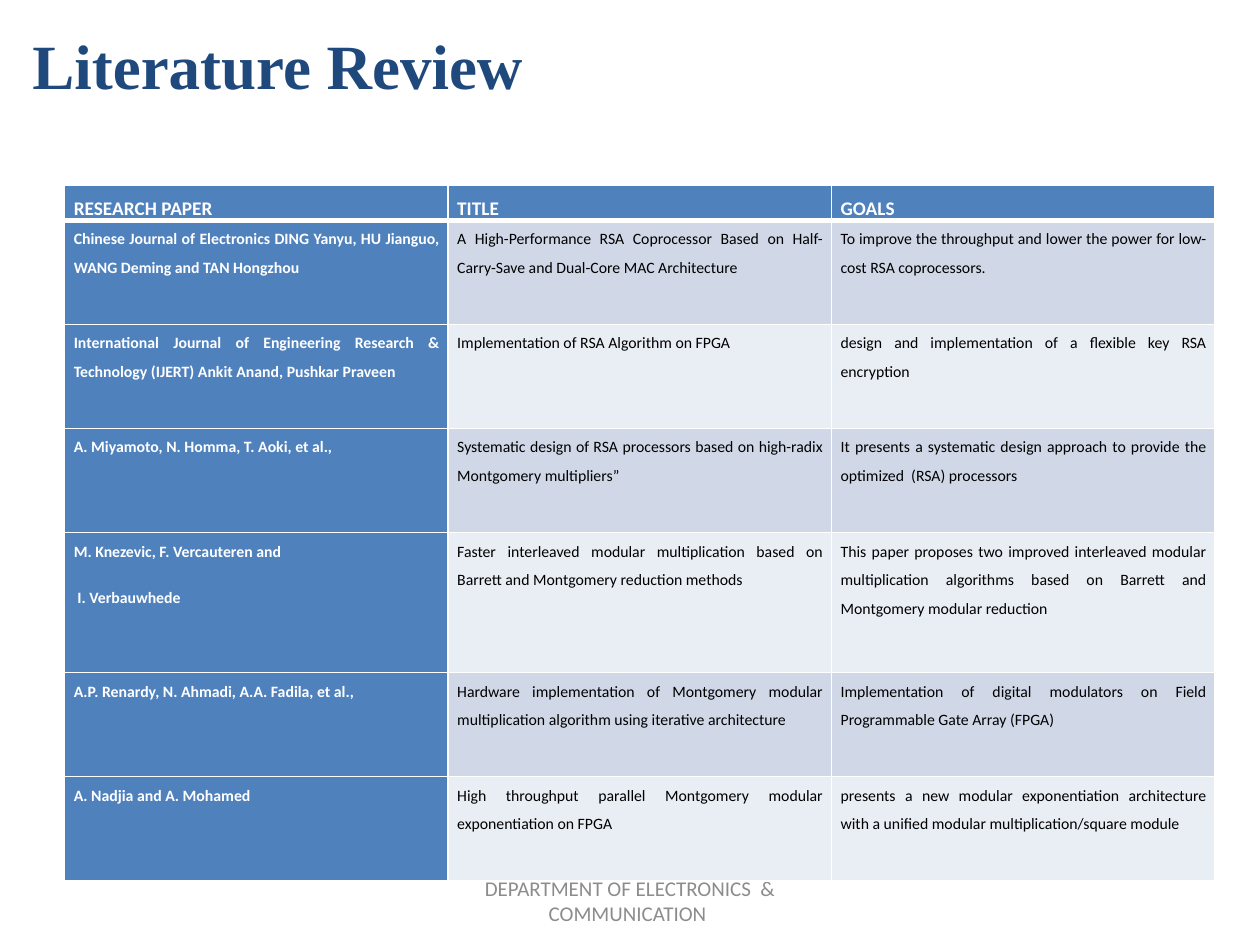
from lxml import etree
from pptx import Presentation
from pptx import util as u
from pptx.dml import color
from pptx.enum import text
from pptx.oxml import ns

BLUE, WHITE, BLACK = "4F81BD", "FFFFFF", "000000"
BANDS = ["D0D8E8", "E9EDF4"]
HEADS = ["RESEARCH PAPER", "TITLE", "GOALS"]
PAPERS = [
    ["Chinese Journal of Electronics DING Yanyu, HU Jianguo, WANG Deming and TAN Hongzhou",
     "A High-Performance RSA Coprocessor Based on Half-Carry-Save and Dual-Core MAC Architecture",
     "To improve the throughput and lower the power for low-cost RSA coprocessors."],
    ["International Journal of Engineering Research & Technology (IJERT) Ankit Anand, Pushkar Praveen",
     "Implementation of RSA Algorithm on FPGA",
     "design and implementation of a flexible key RSA encryption"],
    ["A. Miyamoto, N. Homma, T. Aoki, et al.,",
     "Systematic design of RSA processors based on high-radix Montgomery multipliers”",
     "It presents a systematic design approach to provide the optimized  (RSA) processors"],
    ["M. Knezevic, F. Vercauteren and\n I. Verbauwhede",
     "Faster interleaved modular multiplication based on Barrett and Montgomery reduction methods",
     "This paper proposes two improved interleaved modular multiplication algorithms based on "
     "Barrett and Montgomery modular reduction"],
    ["A.P. Renardy, N. Ahmadi, A.A. Fadila, et al.,",
     "Hardware implementation of Montgomery modular multiplication algorithm using iterative architecture",
     "Implementation of digital modulators on Field Programmable Gate Array (FPGA)"],
    ["A. Nadjia and A. Mohamed",
     "High throughput parallel Montgomery modular exponentiation on FPGA",
     "presents a new modular exponentiation architecture with a unified modular multiplication/square module"],
]


def rgb(code):
    return color.RGBColor.from_string(code)


class Deck:
    """Holds the fonts and the current slide, and draws each kind of element."""

    def __init__(self, body="Calibri", head="Times New Roman"):
        self.body, self.head = body, head
        self.prs = Presentation()
        self.prs.slide_width, self.prs.slide_height = u.Pt(720), u.Pt(540)
        self.slide = self.prs.slides.add_slide(self.prs.slide_layouts[6])

    def style(self, para, face, size, ink, bold=False):
        font = para.font
        font.name, font.size, font.bold = face, u.Pt(size), bold
        font.color.rgb = rgb(ink)

    def label(self, words, box, face, size, ink, bold=False,
              align=text.PP_ALIGN.LEFT, anchor=text.MSO_ANCHOR.TOP):
        frame = self.slide.shapes.add_textbox(*map(u.Pt, box)).text_frame
        frame.word_wrap, frame.vertical_anchor = True, anchor
        para = frame.paragraphs[0]
        para.text, para.alignment = words, align
        self.style(para, face, size, ink, bold)

    def edge(self, cell, side, width):
        props = cell._tc.get_or_add_tcPr()
        line = etree.SubElement(props, ns.qn("a:ln" + side), w=str(u.Pt(width)))
        fill = etree.SubElement(line, ns.qn("a:solidFill"))
        etree.SubElement(fill, ns.qn("a:srgbClr"), val=WHITE)

    def cell(self, cell, words, row, col):
        for side in "LRTB":
            thick = (row, side) in [(0, "B"), (1, "T")]
            self.edge(cell, side, 3 if thick else 1)
        lead = row == 0 or col == 0
        cell.fill.solid()
        cell.fill.fore_color.rgb = rgb(BLUE if lead else BANDS[(row - 1) % 2])
        cell.margin_left = cell.margin_right = u.Pt(5.2)
        cell.margin_top = cell.margin_bottom = 0
        cell.text = words
        for para in cell.text_frame.paragraphs:
            para.alignment = text.PP_ALIGN.JUSTIFY
            para.line_spacing, para.space_after = 1.5, u.Pt(10)
            self.style(para, self.body, 9 if row else 11, WHITE if lead else BLACK, lead)

    def table(self, rows, left, top, width, highs):
        size = len(rows), len(rows[0])
        box = map(u.Pt, (left, top, width, sum(highs)))
        grid = self.slide.shapes.add_table(*size, *box).table
        for row, (line, high) in enumerate(zip(rows, highs)):
            grid.rows[row].height = u.Pt(high)
            for col, words in enumerate(line):
                self.cell(grid.cell(row, col), words, row, col)

    def save(self):
        self.prs.save("out.pptx")


def main():
    deck = Deck()
    deck.label("DEPARTMENT OF ELECTRONICS  & COMMUNICATION ", (246, 500.5, 228, 28.75),
               deck.body, 12, "8C8C8C",
               align=text.PP_ALIGN.CENTER, anchor=text.MSO_ANCHOR.MIDDLE)
    deck.table([HEADS] + PAPERS, 37, 106, 657.3, [18, 59.5, 59.5, 59.5, 80, 59.5, 59.5])
    deck.label("Literature Review", (11.5, 11.5, 590.5, 51), deck.head, 36, "1F497D", bold=True)
    deck.save()


if __name__ == "__main__":
    main()
